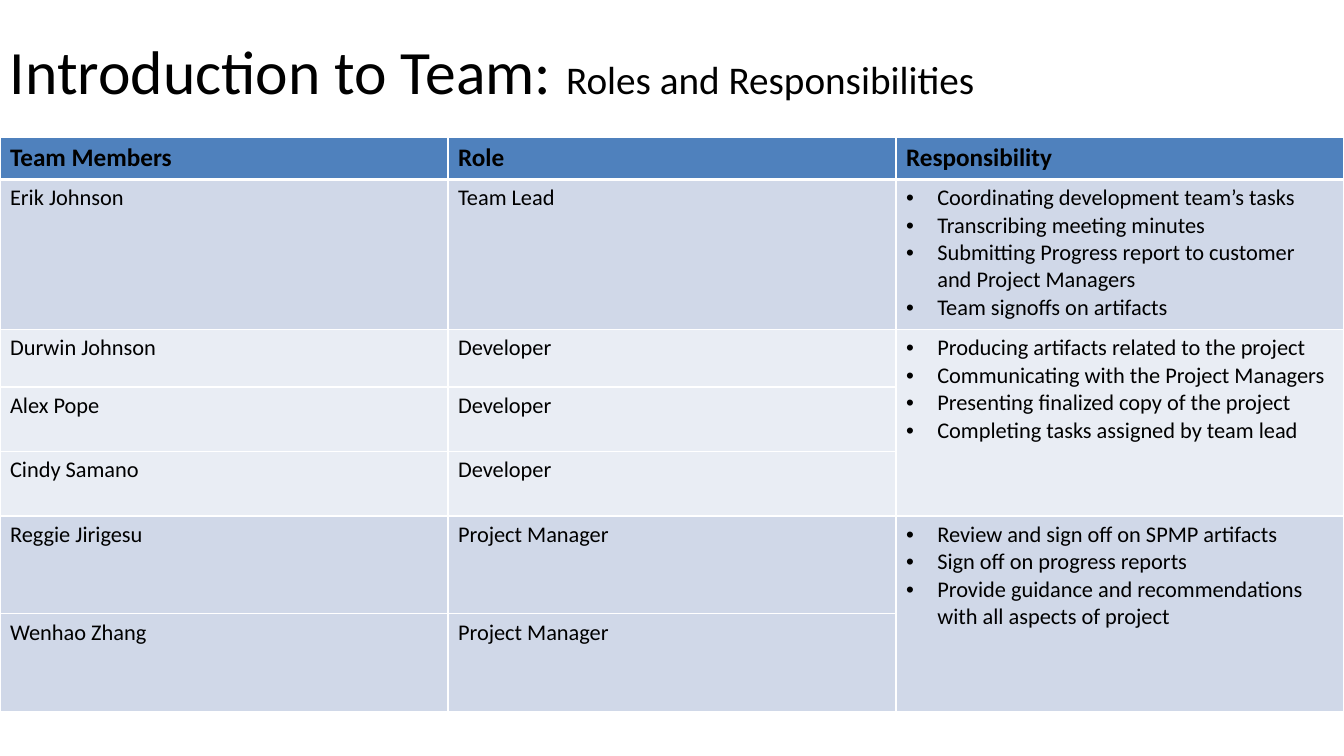
from dataclasses import dataclass

from lxml import etree
from pptx import Presentation
from pptx import util as u
from pptx.dml.color import RGBColor
from pptx.enum import text
from pptx.oxml.ns import qn


@dataclass(frozen=True)
class Theme:
    """Colours, font and type sizes of the slide."""
    font: str = "Calibri"
    ink: str = "000000"
    rule: str = "FFFFFF"
    header: str = "4F81BD"
    bands: tuple = ("D0D8E8", "E9EDF4")
    title: int = 44
    subtitle: int = 28
    heading: int = 18
    body: int = 16


THEME = Theme()
WIDTH, HEIGHT = 13.33, 7.5
TITLE_BOX = (0, -0.03, 12.49, 1.53)
TABLE_BOX = (0, 1.36, WIDTH, 5.7)
ROW_HEIGHTS = (0.42, 1.49, 0.57, 0.64, 0.64, 0.97, 0.97)
HEADINGS = ("Team Members", "Role", "Responsibility")
TEAMS = (
    ("Team Lead", ("Erik Johnson",),
     ("Coordinating development team’s tasks",
      "Transcribing meeting minutes",
      "Submitting Progress report to customer and Project Managers",
      "Team signoffs on artifacts")),
    ("Developer", ("Durwin Johnson", "Alex Pope", "Cindy Samano"),
     ("Producing artifacts related to the project",
      "Communicating with the Project Managers",
      "Presenting finalized copy of the project",
      "Completing tasks assigned by team lead")),
    ("Project Manager", ("Reggie Jirigesu", "Wenhao Zhang"),
     ("Review and sign off on SPMP artifacts",
      "Sign off on progress reports",
      "Provide guidance and recommendations with all aspects of project")),
)


def write(paragraph, words, size, bold=False):
    """Add a run in the theme font to a paragraph."""
    run = paragraph.add_run()
    run.text = words
    style = {"name": THEME.font, "size": u.Pt(size), "bold": bold}
    for key, value in style.items():
        setattr(run.font, key, value)
    run.font.color.rgb = RGBColor.from_string(THEME.ink)


def add_bullet(paragraph):
    """Give a paragraph a hanging round bullet."""
    props = paragraph._p.get_or_add_pPr()
    indent = u.Inches(0.31)
    props.set("marL", str(indent))
    props.set("indent", str(-indent))
    etree.SubElement(props, qn("a:buFont"), typeface="Arial")
    etree.SubElement(props, qn("a:buChar"), char="•")


def paint_cell(cell, colour, bottom=1):
    """Draw white borders around a cell and fill it."""
    props = cell._tc.get_or_add_tcPr()
    for side, points in {"L": 1, "R": 1, "T": 1, "B": bottom}.items():
        border = etree.SubElement(props, qn(f"a:ln{side}"), w=str(u.Pt(points)))
        fill = etree.SubElement(border, qn("a:solidFill"))
        etree.SubElement(fill, qn("a:srgbClr"), val=THEME.rule)
    cell.fill.solid()
    cell.fill.fore_color.rgb = RGBColor.from_string(colour)


def fill_duties(cell, duties):
    """List the duties of a team as bullets in a cell."""
    frame = cell.text_frame
    for index, duty in enumerate(duties):
        paragraph = frame.add_paragraph() if index else frame.paragraphs[0]
        add_bullet(paragraph)
        write(paragraph, duty, THEME.body)


def add_title(slide, box):
    """Place the two-size title in its box."""
    frame = slide.shapes.add_textbox(*map(u.Inches, box)).text_frame
    layout = {"word_wrap": True, "vertical_anchor": text.MSO_ANCHOR.MIDDLE}
    for key, value in layout.items():
        setattr(frame, key, value)
    heading = frame.paragraphs[0]
    heading.line_spacing = 0.9
    write(heading, "Introduction to Team: ", THEME.title)
    write(heading, "Roles and Responsibilities", THEME.subtitle)


def add_team_table(slide, box):
    """Place the table of members, roles and duties in its box."""
    roster = slide.shapes.add_table(
        len(ROW_HEIGHTS), len(HEADINGS), *map(u.Inches, box)).table
    for column in roster.columns:
        column.width = u.Inches(box[2] / len(HEADINGS))
    for row, share in zip(roster.rows, ROW_HEIGHTS):
        row.height = u.Inches(box[3] * share / sum(ROW_HEIGHTS))

    for column, heading in enumerate(HEADINGS):
        cell = roster.cell(0, column)
        paint_cell(cell, THEME.header, bottom=3)
        write(cell.text_frame.paragraphs[0], heading, THEME.heading, bold=True)

    first = 1
    for index, (role, members, duties) in enumerate(TEAMS):
        band = THEME.bands[index % len(THEME.bands)]
        for row, member in enumerate(members, first):
            for column in range(len(HEADINGS)):
                paint_cell(roster.cell(row, column), band)
            for column, words in enumerate((member, role)):
                write(roster.cell(row, column).text_frame.paragraphs[0],
                      words, THEME.body)
        duty_cell = roster.cell(first, 2)
        if len(members) > 1:
            duty_cell.merge(roster.cell(first + len(members) - 1, 2))
        fill_duties(duty_cell, duties)
        first += len(members)


def main():
    """Build and save the slide."""
    deck = Presentation()
    deck.slide_width, deck.slide_height = u.Inches(WIDTH), u.Inches(HEIGHT)
    slide = deck.slides.add_slide(deck.slide_layouts[6])
    add_title(slide, TITLE_BOX)
    add_team_table(slide, TABLE_BOX)
    deck.save("out.pptx")


if __name__ == "__main__":
    main()
